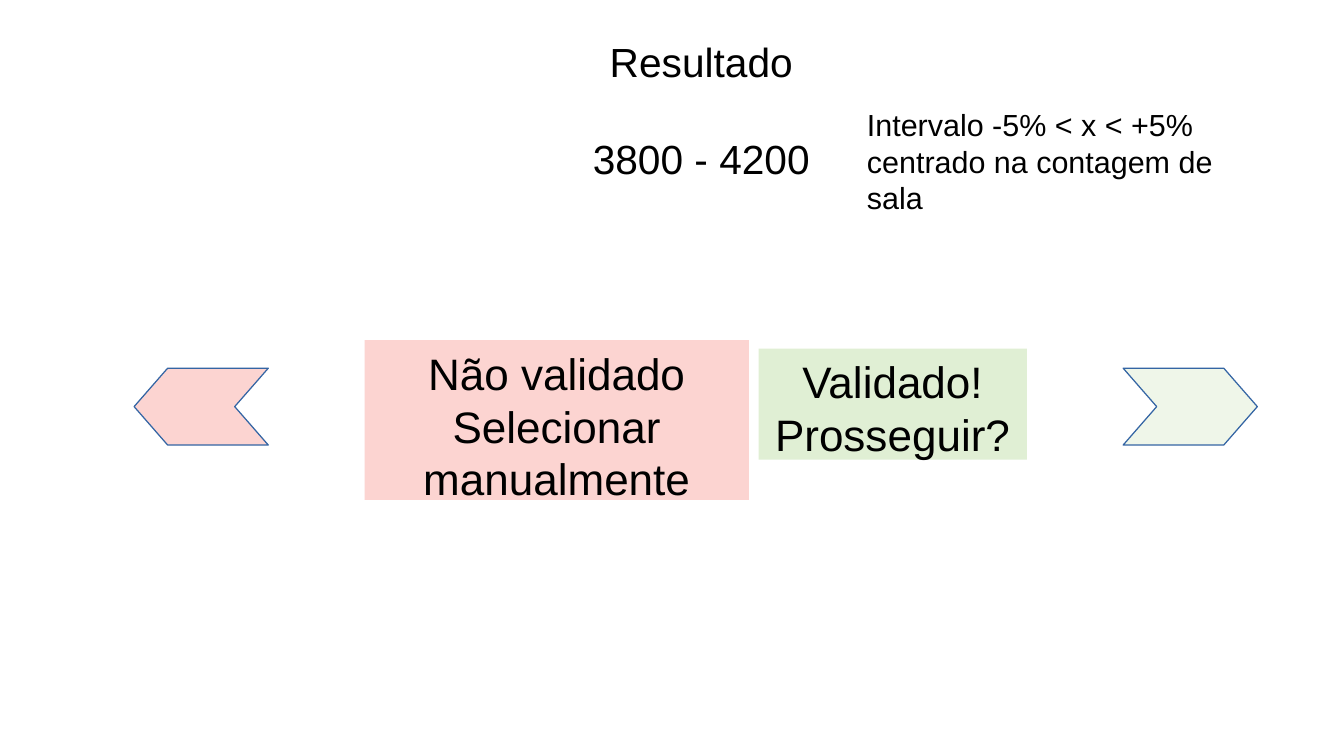
from dataclasses import dataclass

from lxml.etree import SubElement
from pptx import Presentation
from pptx.dml.color import RGBColor
from pptx.enum.shapes import MSO_SHAPE
from pptx.enum.text import MSO_ANCHOR, MSO_AUTO_SIZE, PP_ALIGN
from pptx.oxml.ns import qn
from pptx.util import Inches, Pt


@dataclass(frozen=True)
class Theme:
    font: str = "Arial"
    text: RGBColor = RGBColor(0x00, 0x00, 0x00)
    accepted: RGBColor = RGBColor(0xE0, 0xEF, 0xD4)
    rejected: RGBColor = RGBColor(0xFC, 0xD4, 0xD1)
    outline: RGBColor = RGBColor(0x34, 0x65, 0xA4)
    heading_size: int = 24
    verdict_size: int = 26
    note_size: int = 18


THEME = Theme()


def place(shape, box):
    shape.left, shape.top, shape.width, shape.height = (Inches(value) for value in box)


def write(shape, lines, size, alignment=PP_ALIGN.CENTER):
    frame = shape.text_frame
    frame.word_wrap = True
    frame.auto_size = MSO_AUTO_SIZE.NONE
    frame.vertical_anchor = MSO_ANCHOR.TOP
    frame.margin_left = frame.margin_right = Inches(0.1)
    frame.margin_top = frame.margin_bottom = Inches(0.05)
    for index, line in enumerate(lines):
        paragraph = frame.add_paragraph() if index else frame.paragraphs[0]
        paragraph.alignment = alignment
        run = paragraph.add_run()
        run.text = line
        run.font.name = THEME.font
        run.font.size = Pt(size)
        run.font.color.rgb = THEME.text


def add_text(slide, box, line, size, alignment=PP_ALIGN.CENTER):
    shape = slide.shapes.add_textbox(*(Inches(value) for value in box))
    write(shape, [line], size, alignment)


def add_result(slide, box):
    left, top, width, height = box
    line_height = 0.48
    place(slide.shapes.title, (left, top, width, line_height))
    write(slide.shapes.title, ["Resultado"], THEME.heading_size)
    range_box = (left, top + 0.8, width, line_height)
    add_text(slide, range_box, "3800 - 4200", THEME.heading_size)
    note_box = (left + 3.07, top + 0.57, 3.15, height)
    note = "Intervalo -5% < x < +5% centrado na contagem de sala"
    add_text(slide, note_box, note, THEME.note_size, PP_ALIGN.LEFT)


def add_verdict(slide, box, lines, color):
    shape = slide.shapes.add_shape(MSO_SHAPE.RECTANGLE, *(Inches(value) for value in box))
    shape.shadow.inherit = False
    shape.fill.solid()
    shape.fill.fore_color.rgb = color
    shape.line.fill.background()
    write(shape, lines, THEME.verdict_size)


def add_arrow(slide, box, color, points_left=False, opacity=100):
    left, top, width, height = box
    notch = width / 4
    outline = [
        (0, 0),
        (width - notch, 0),
        (width, height / 2),
        (width - notch, height),
        (0, height),
        (notch, height / 2),
    ]
    points = [
        (Inches(left + (width - x if points_left else x)), Inches(top + y))
        for x, y in outline
    ]
    builder = slide.shapes.build_freeform(*points[0])
    builder.add_line_segments(points[1:], close=True)
    shape = builder.convert_to_shape()
    shape.shadow.inherit = False
    shape.fill.solid()
    shape.fill.fore_color.rgb = color
    shape.line.color.rgb = THEME.outline
    shape.line.width = Pt(0)
    if opacity < 100:
        fill_color = shape.element.spPr.find(qn("a:solidFill"))[0]
        SubElement(fill_color, qn("a:alpha")).set("val", str(opacity * 1000))


def add_decision(slide, box):
    left, top, width, height = box
    arrow_width, arrow_height = 1.1, 0.63
    arrow_top = top + 0.23
    right_arrow = left + width - arrow_width
    add_arrow(slide, (right_arrow, arrow_top, arrow_width, arrow_height),
              THEME.accepted, opacity=50)
    add_arrow(slide, (left, arrow_top, arrow_width, arrow_height),
              THEME.rejected, points_left=True)
    add_verdict(slide, (left + 5.12, top + 0.07, 2.2, 0.91),
                ["Validado!", "Prosseguir?"], THEME.accepted)
    add_verdict(slide, (left + 1.89, top, 3.15, height),
                ["Não validado", "Selecionar manualmente"], THEME.rejected)


def main():
    presentation = Presentation()
    presentation.slide_width = Inches(11.02)
    presentation.slide_height = Inches(6.2)
    slide = presentation.slides.add_slide(presentation.slide_layouts[5])
    add_result(slide, (3.94, 0.25, 3.62, 1.22))
    add_decision(slide, (1.1, 2.79, 9.21, 1.31))
    presentation.save("out.pptx")


if __name__ == "__main__":
    main()
